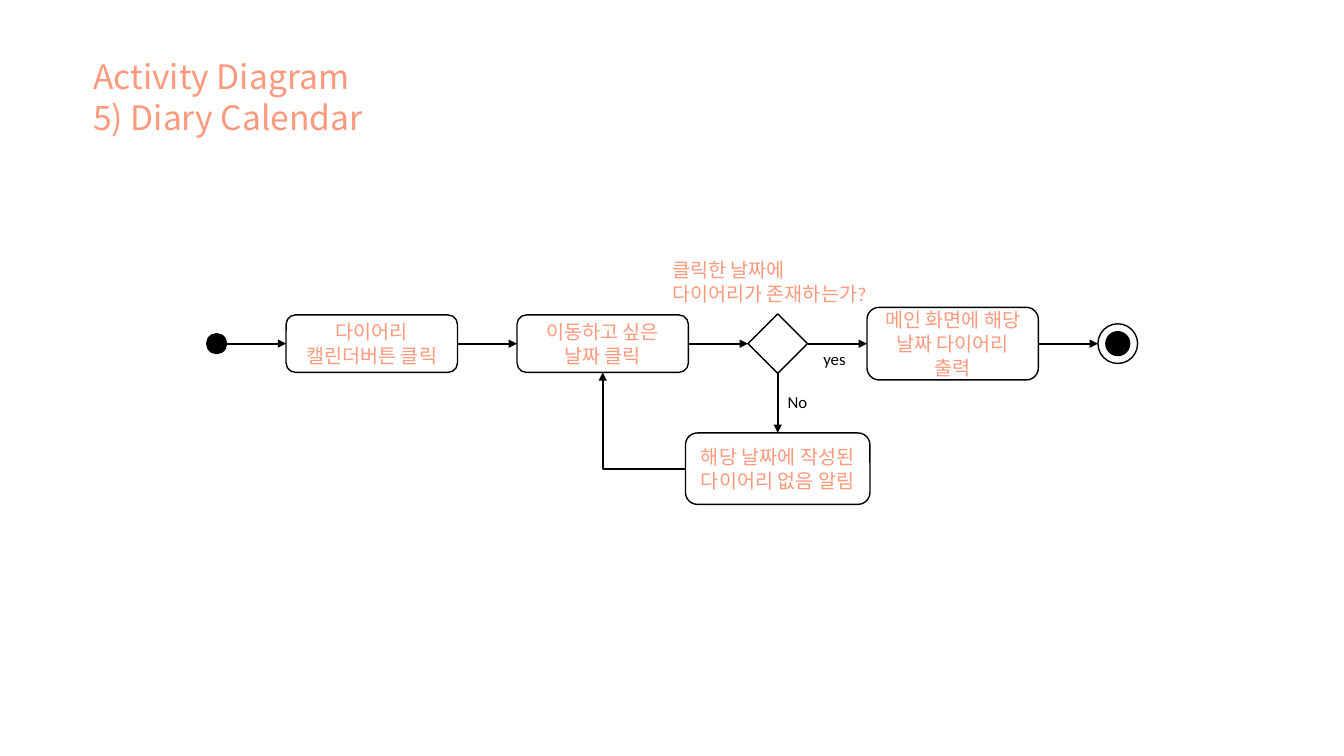
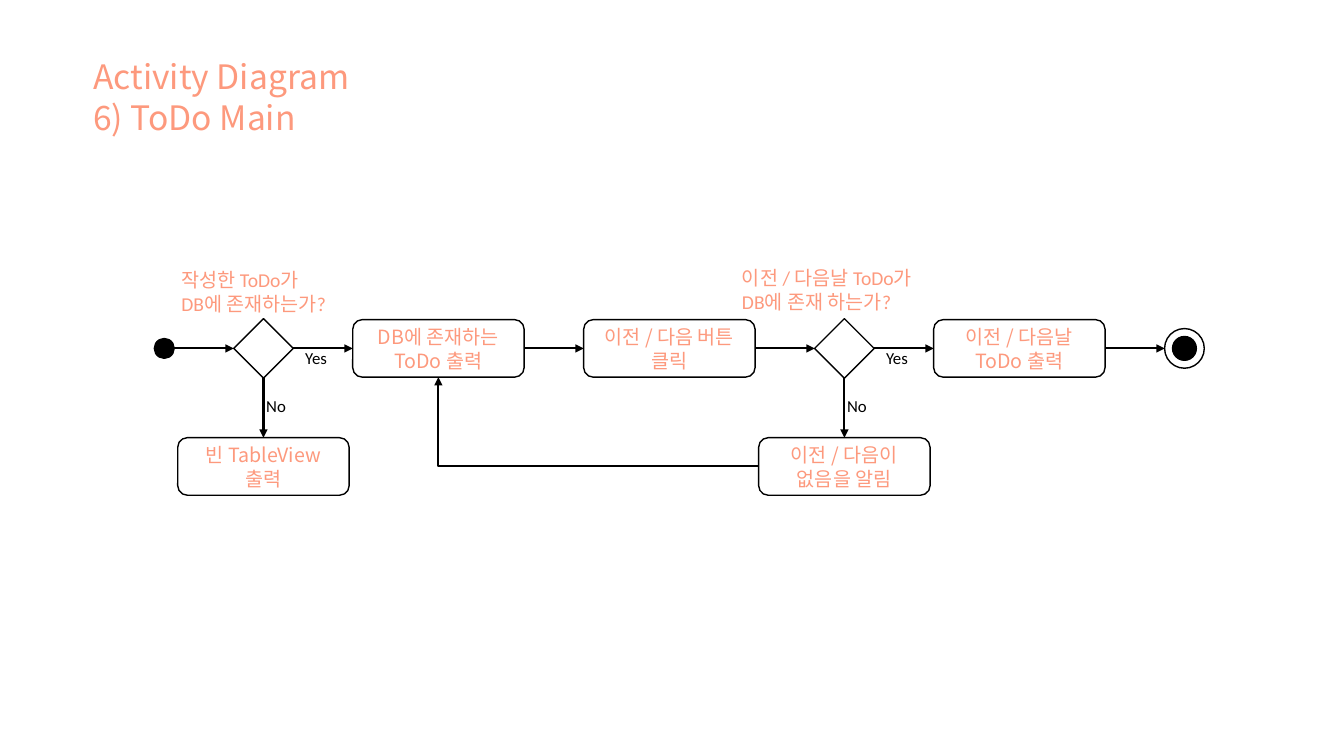
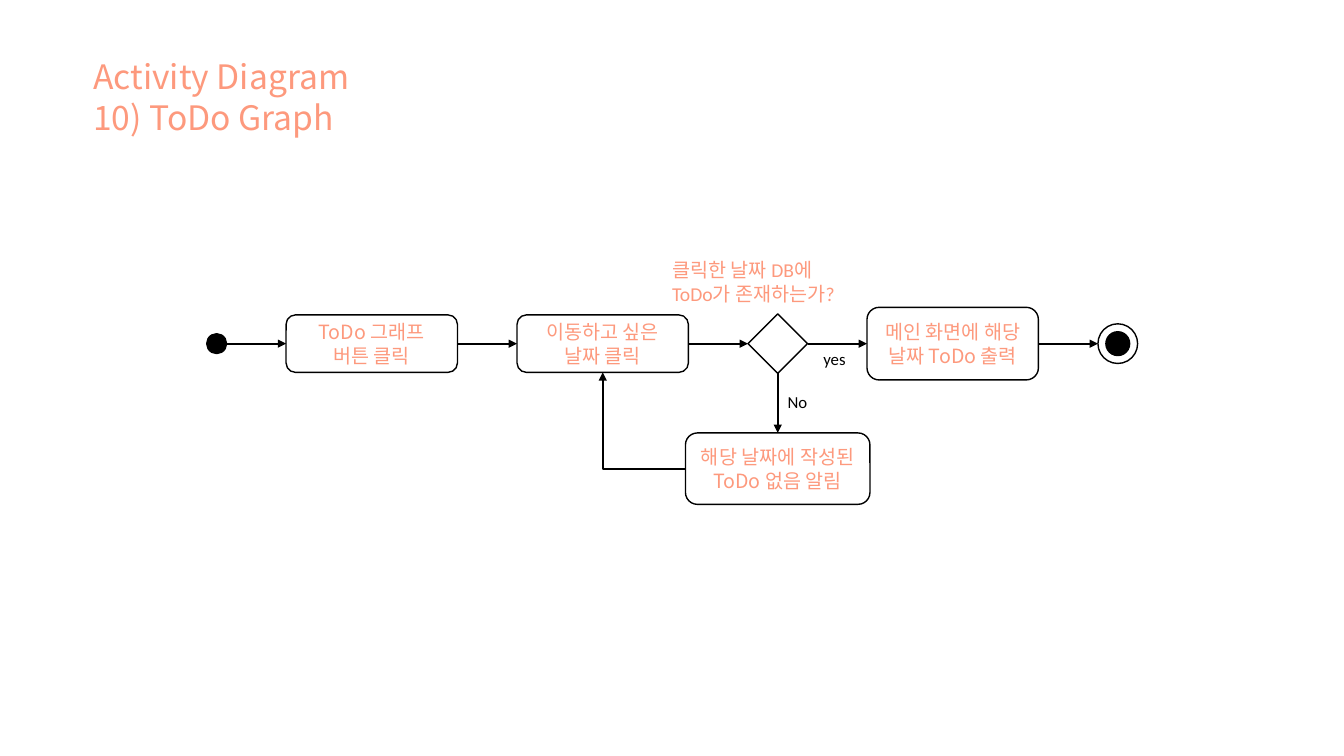
from dataclasses import dataclass

from lxml.etree import SubElement
from pptx import Presentation
from pptx.dml.color import RGBColor
from pptx.enum.shapes import MSO_CONNECTOR as Link, MSO_SHAPE as Preset
from pptx.enum.text import MSO_ANCHOR as Anchor, MSO_AUTO_SIZE as AutoSize, PP_ALIGN as Align
from pptx.oxml.ns import qn
from pptx.util import Cm, Pt


@dataclass(frozen=True)
class Theme:
    """Colours, fonts, type sizes and line widths of the deck."""
    coral: RGBColor = RGBColor(0xFD, 0x99, 0x7D)
    black: RGBColor = RGBColor(0, 0, 0)
    main_font: str = "Noto Sans CJK KR"
    label_font: str = "Calibri"
    title_size: float = 24
    step_size: float = 14
    label_size: float = 12
    leading: float = 1.22
    outline: float = 1
    arrow: float = 1.5


@dataclass(frozen=True)
class Box:
    """A rectangle in centimetres."""
    left: float
    top: float
    width: float
    height: float

    @property
    def right(self):
        return self.left + self.width

    @property
    def bottom(self):
        return self.top + self.height

    @property
    def center(self):
        return self.left + self.width / 2

    @property
    def middle(self):
        return self.top + self.height / 2

    def lengths(self):
        """Give left, top, width and height as slide lengths."""
        return [Cm(value) for value in (self.left, self.top, self.width, self.height)]


@dataclass(frozen=True)
class Step:
    """An activity with its text and size."""
    text: str
    width: float = 4.32
    height: float = 1.45


@dataclass(frozen=True)
class LabelStyle:
    """Offsets of the yes and no labels from the corners of a decision."""
    yes: str
    yes_shift: tuple
    no_shift: tuple


@dataclass(frozen=True)
class Decision:
    """A question, its place from the diamond's corner, and the step after no."""
    question: str
    shift: tuple
    labels: LabelStyle
    otherwise: Step
    returns: bool = True


THEME = Theme()
TITLE_BOX = Box(2.01, 1.57, 7.85, 1.7)
GAP = 1.5
DIAMOND = 1.5
START, END, CORE = 0.5, 1.0, 0.6


def format_text(frame, text, size, font, color, align=Align.LEFT):
    """Write text into a frame in one style."""
    frame.text = text
    frame.word_wrap = True
    for para in frame.paragraphs:
        para.alignment = align
        para.line_spacing = Pt(round(size * THEME.leading, 1))
        for span in para.runs:
            span.font.size = Pt(size)
            span.font.name = font
            span.font.color.rgb = color
            east_asian = SubElement(span.font._element, qn("a:ea"))
            east_asian.set("typeface", THEME.main_font)


def add_title(page, box, text):
    """Place the coral two-line title."""
    title = page.shapes.title
    title.left, title.top, title.width, title.height = box.lengths()
    frame = title.text_frame
    format_text(frame, text, THEME.title_size, THEME.main_font, THEME.coral)
    frame.auto_size = AutoSize.NONE
    frame.vertical_anchor = Anchor.MIDDLE
    frame.margin_left = Cm(0.34)
    for para in frame.paragraphs:
        para.space_before = Pt(0)


def add_outline(page, preset, box, filled=False):
    """Draw a black outlined shape, empty or filled."""
    shape = page.shapes.add_shape(preset, *box.lengths())
    shape.shadow.inherit = False
    if filled:
        shape.fill.solid()
        shape.fill.fore_color.rgb = THEME.black
    else:
        shape.fill.background()
    shape.line.color.rgb = THEME.black
    shape.line.width = Pt(THEME.outline)
    return shape


def add_step(page, box, text):
    """Draw a rounded activity box with centred text."""
    frame = add_outline(page, Preset.ROUNDED_RECTANGLE, box).text_frame
    frame.vertical_anchor = Anchor.MIDDLE
    format_text(frame, text, THEME.step_size, THEME.main_font, THEME.coral, Align.CENTER)


def add_label(page, box, text, size, color):
    """Write a free label."""
    frame = page.shapes.add_textbox(*box.lengths()).text_frame
    format_text(frame, text, size, THEME.label_font, color)


def add_arrow(page, start, end, bent=False):
    """Draw an arrow, straight or with one corner."""
    kind = Link.ELBOW if bent else Link.STRAIGHT
    arrow = page.shapes.add_connector(kind, *[Cm(value) for value in (*start, *end)])
    arrow.line.color.rgb = THEME.black
    arrow.line.width = Pt(THEME.arrow)
    properties = arrow._element.spPr
    if bent:
        properties.find(qn("a:prstGeom")).set("prst", "bentConnector2")
    SubElement(properties.find(qn("a:ln")), qn("a:tailEnd")).set("type", "triangle")
    SubElement(properties, qn("a:effectLst"))


def add_end(page, box):
    """Draw the ringed dot that ends a flow."""
    inset = (END - CORE) / 2
    add_outline(page, Preset.OVAL, box)
    add_outline(page, Preset.OVAL, Box(box.left + inset, box.top + inset, CORE, CORE), filled=True)


def add_decision(page, box, decision, previous):
    """Draw a diamond with its labels, its no branch and the way back."""
    add_outline(page, Preset.DIAMOND, box)
    across, down = decision.shift
    add_label(page, Box(box.left + across, box.top + down, 5.84, 1.45),
              decision.question, THEME.step_size, THEME.coral)
    labels = decision.labels
    corners = ((labels.yes, box.right, box.middle, labels.yes_shift),
               ("No", box.center, box.bottom, labels.no_shift))
    for text, left, top, (across, down) in corners:
        add_label(page, Box(left + across, top + down, 1.3, 0.76),
                  text, THEME.label_size, THEME.black)

    step = decision.otherwise
    branch = Box(box.center - step.width / 2, box.bottom + GAP, step.width, step.height)
    add_step(page, branch, step.text)
    add_arrow(page, (box.center, box.bottom), (box.center, branch.top))
    if decision.returns:
        target = decision_target(previous)
        add_arrow(page, (branch.left, branch.middle), (target.center, target.bottom), bent=True)


def decision_target(previous):
    """Pick the step that follows the last decision, where a retry begins."""
    return previous[0]


def add_flow(page, left, axis, parts):
    """Lay steps and decisions along an axis with equal gaps and arrows."""
    def centred(position, width, height):
        return Box(position, axis - height / 2, width, height)

    box = centred(left, START, START)
    add_outline(page, Preset.OVAL, box, filled=True)
    steps = []
    for part in [*parts, None]:
        if part is None:
            following = centred(box.right + GAP, END, END)
            add_end(page, following)
        elif isinstance(part, Decision):
            following = centred(box.right + GAP, DIAMOND, DIAMOND)
            add_decision(page, following, part, steps[-2:] if left < 5 else steps[-1:])
        else:
            following = centred(box.right + GAP, part.width, part.height)
            add_step(page, following, part.text)
            steps.append(following)
        add_arrow(page, (box.right, axis), (following.left, axis))
        box = following


def add_page(deck, name, left, axis, parts):
    """Add a slide with one activity diagram."""
    page = deck.slides.add_slide(deck.slide_layouts[5])
    add_title(page, TITLE_BOX, f"Activity Diagram\n{name}")
    add_flow(page, left, axis, parts)


def date_flow(button, question, result, missing):
    """List the parts of a flow that looks up a chosen date."""
    labels = LabelStyle("yes", (0.15, 0), (0, 0.33))
    return [
        Step(button),
        Step("이동하고 싶은 날짜 클릭"),
        Decision(question, (-2.16, -1.55), labels, Step(missing, 4.65, 1.8)),
        Step(result, height=1.83),
    ]


def todo_flow():
    """List the parts of the main to-do flow."""
    labels = LabelStyle("Yes", (0.05, -0.14), (-0.18, 0.3))
    return [
        Decision("작성한 ToDo가\nDB에 존재하는가?", (-1.57, -1.42), labels,
                 Step("빈 TableView 출력"), returns=False),
        Step("DB에 존재하는 ToDo 출력"),
        Step("이전 / 다음 버튼 클릭"),
        Decision("이전 / 다음날 ToDo가\nDB에 존재 하는가?", (-2.08, -1.47), labels,
                 Step("이전 / 다음이 없음을 알림")),
        Step("이전 / 다음날 ToDo 출력"),
    ]


def main():
    """Build and save the deck."""
    deck = Presentation()
    deck.slide_width, deck.slide_height = Cm(33.87), Cm(19.05)
    add_page(deck, "5) Diary Calendar", 5.21, 8.66, date_flow(
        "다이어리 캘린더버튼 클릭", "클릭한 날짜에\n다이어리가 존재하는가?",
        "메인 화면에 해당 날짜 다이어리 출력", "해당 날짜에 작성된 다이어리 없음 알림"))
    add_page(deck, "6) ToDo Main", 3.89, 8.78, todo_flow())
    add_page(deck, "10) ToDo Graph", 5.21, 8.66, date_flow(
        "ToDo 그래프 버튼 클릭", "클릭한 날짜 DB에\nToDo가 존재하는가?",
        "메인 화면에 해당 날짜 ToDo 출력", "해당 날짜에 작성된 ToDo 없음 알림"))
    deck.save("out.pptx")


main()
